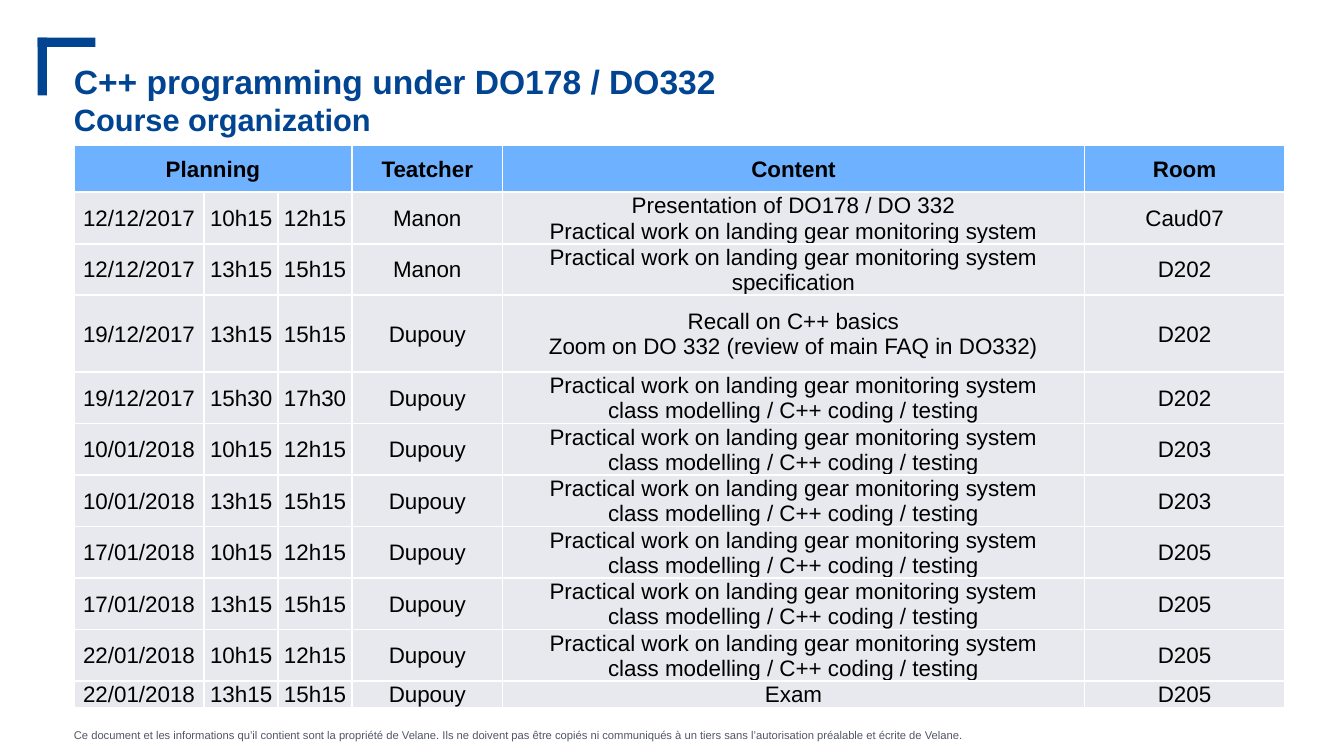
from typing import NamedTuple

from lxml.etree import SubElement
from pptx import Presentation
from pptx.dml.color import RGBColor
from pptx.enum.shapes import MSO_SHAPE
from pptx.enum.text import MSO_ANCHOR, MSO_AUTO_SIZE, PP_ALIGN
from pptx.oxml.ns import qn
from pptx.util import Inches, Pt

NAVY = "014491"
HEADER_BLUE = "6EB1FE"
ROW_GREY = "E7E9EE"
WHITE = "FFFFFF"
BLACK = "000000"
FOOTER_GREY = "525668"
LEFT = 0.55
LINE_HEIGHT = 0.19
COLUMN_WIDTHS = (0.97, 0.55, 0.55, 1.12, 4.33, 1.49)
HEADINGS = ("Planning", "", "", "Teatcher", "Content", "Room")


class Session(NamedTuple):
    date: str
    start: str
    end: str
    teacher: str
    content: str
    room: str
    lines: int = 2


# "\v" breaks a line inside a paragraph, "\n" starts a new paragraph.
LANDING_GEAR = "Practical work on landing gear monitoring system"
CODING = LANDING_GEAR + "\vclass modelling / C++ coding / testing"
SESSIONS = (
    Session("12/12/2017", "10h15", "12h15", "Manon",
            "Presentation of DO178 / DO 332\n" + LANDING_GEAR, "Caud07"),
    Session("12/12/2017", "13h15", "15h15", "Manon",
            LANDING_GEAR + "\vspecification", "D202"),
    Session("19/12/2017", "13h15", "15h15", "Dupouy",
            "Recall on C++ basics\nZoom on DO 332 (review of main FAQ in DO332)",
            "D202", lines=3),
    Session("19/12/2017", "15h30", "17h30", "Dupouy", CODING, "D202"),
    Session("10/01/2018", "10h15", "12h15", "Dupouy", CODING, "D203"),
    Session("10/01/2018", "13h15", "15h15", "Dupouy", CODING, "D203"),
    Session("17/01/2018", "10h15", "12h15", "Dupouy", CODING, "D205"),
    Session("17/01/2018", "13h15", "15h15", "Dupouy", CODING, "D205"),
    Session("22/01/2018", "10h15", "12h15", "Dupouy", CODING, "D205"),
    Session("22/01/2018", "13h15", "15h15", "Dupouy", "Exam", "D205", lines=1),
)


def rgb(color: str) -> RGBColor:
    return RGBColor.from_string(color)


def set_font(font, size: float, color: str, bold: bool = False) -> None:
    font.name = "Arial"
    font.size = Pt(size)
    font.color.rgb = rgb(color)
    font.bold = bold


def prepare_frame(frame) -> None:
    """Wrap the text from the top, without insets or automatic resizing."""
    frame.margin_left = frame.margin_right = 0
    frame.margin_top = frame.margin_bottom = 0
    frame.word_wrap = True
    frame.auto_size = MSO_AUTO_SIZE.NONE
    frame.vertical_anchor = MSO_ANCHOR.TOP


def add_corner_bar(slide, width: float, height: float) -> None:
    bar = slide.shapes.add_shape(MSO_SHAPE.RECTANGLE, Inches(0.28), Inches(0.28),
                                 Inches(width), Inches(height))
    bar.shadow.inherit = False
    bar.fill.solid()
    bar.fill.fore_color.rgb = rgb(NAVY)
    bar.line.fill.background()


def add_title(slide) -> None:
    title = slide.shapes.title
    title.left, title.top = Inches(LEFT), Inches(0.45)
    title.width, title.height = Inches(9.18), Inches(0.79)
    prepare_frame(title.text_frame)
    paragraph = title.text_frame.paragraphs[0]
    paragraph.alignment = PP_ALIGN.LEFT
    paragraph.line_spacing = 1.0
    course = paragraph.add_run()
    course.text = "C++ programming under DO178 / DO332"
    set_font(course.font, 18, NAVY, bold=True)
    paragraph.add_line_break()
    subject = paragraph.add_run()
    subject.text = "Course organization"
    set_font(subject.font, 16.5, NAVY, bold=True)


def add_footer(slide) -> None:
    footer = slide.shapes.add_textbox(Inches(LEFT), Inches(5.42), Inches(7.84), Inches(0.2))
    prepare_frame(footer.text_frame)
    paragraph = footer.text_frame.paragraphs[0]
    paragraph.text = (
        "Ce document et les informations qu’il contient sont la propriété de Velane. "
        "Ils ne doivent pas être copiés ni communiqués à un tiers "
        "sans l’autorisation préalable et écrite de Velane."
    )
    set_font(paragraph.font, 6, FOOTER_GREY)


def add_borders(cell) -> None:
    properties = cell._tc.get_or_add_tcPr()
    for side in ("a:lnL", "a:lnR", "a:lnT", "a:lnB"):
        border = SubElement(properties, qn(side), w=str(Pt(1)))
        fill = SubElement(border, qn("a:solidFill"))
        SubElement(fill, qn("a:srgbClr"), val=WHITE)


def format_cell(cell, text: str, fill: str, bold: bool) -> None:
    add_borders(cell)
    cell.fill.solid()
    cell.fill.fore_color.rgb = rgb(fill)
    cell.margin_left = cell.margin_right = cell.margin_top = Inches(0.01)
    cell.margin_bottom = 0
    cell.vertical_anchor = MSO_ANCHOR.MIDDLE
    cell.text_frame.text = text
    for paragraph in cell.text_frame.paragraphs:
        paragraph.alignment = PP_ALIGN.CENTER
        set_font(paragraph.font, 12, BLACK, bold)


def add_schedule(slide) -> None:
    heights = [0.35] + [session.lines * LINE_HEIGHT for session in SESSIONS]
    schedule = slide.shapes.add_table(
        len(heights), len(COLUMN_WIDTHS), Inches(LEFT), Inches(1.08),
        Inches(sum(COLUMN_WIDTHS)), Inches(sum(heights))).table
    for column, width in zip(schedule.columns, COLUMN_WIDTHS):
        column.width = Inches(width)
    for index, (row, height) in enumerate(zip(schedule.rows, heights)):
        row.height = Inches(height)
        is_header = index == 0
        texts = HEADINGS if is_header else SESSIONS[index - 1]
        for cell, text in zip(row.cells, texts):
            format_cell(cell, text, HEADER_BLUE if is_header else ROW_GREY, is_header)
    schedule.cell(0, 0).merge(schedule.cell(0, 2))


def main() -> None:
    presentation = Presentation()
    presentation.slide_width = Inches(10)
    presentation.slide_height = presentation.slide_width * 9 // 16
    slide = presentation.slides.add_slide(presentation.slide_layouts[5])
    add_footer(slide)
    add_corner_bar(slide, 0.07, 0.43)
    add_corner_bar(slide, 0.43, 0.07)
    add_title(slide)
    add_schedule(slide)
    presentation.save("out.pptx")


if __name__ == "__main__":
    main()
